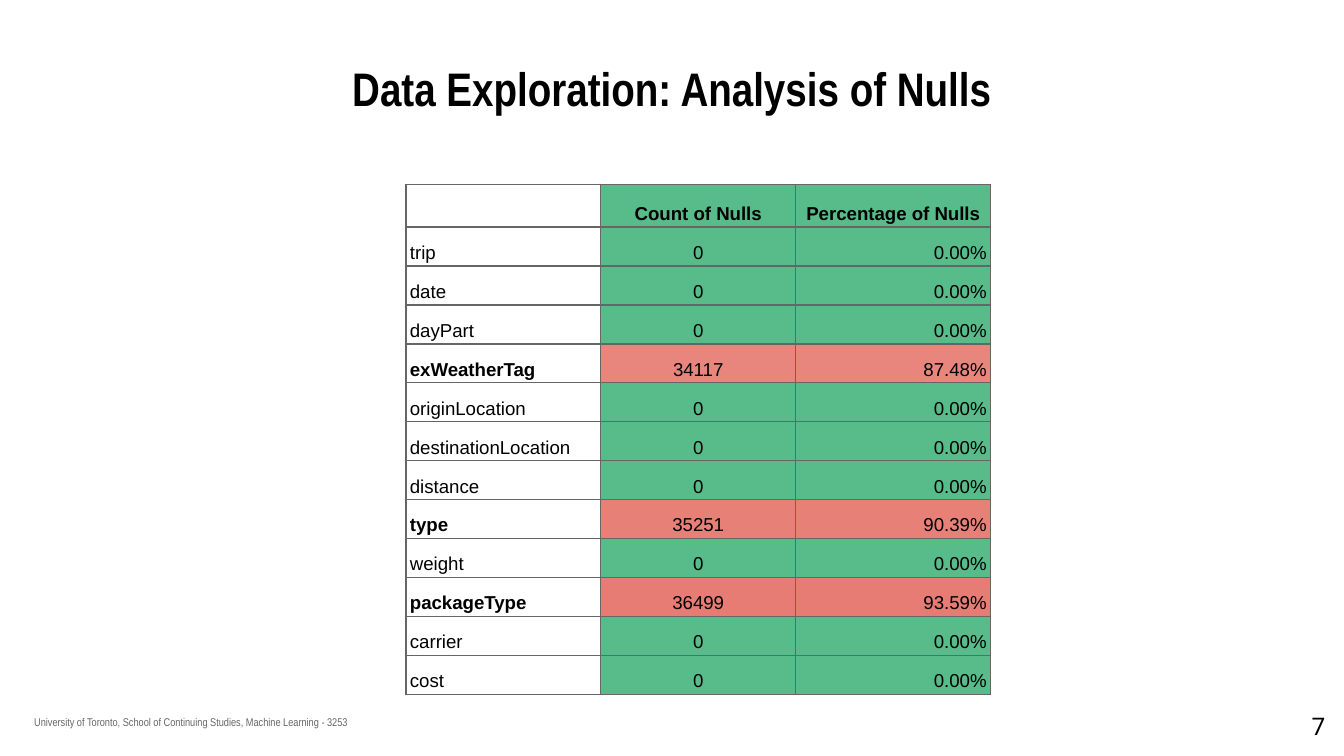
from lxml import etree
from pptx import Presentation
from pptx.dml.color import RGBColor
from pptx.enum import text
from pptx.oxml import ns
from pptx.util import Inches, Pt

COLORS = {"ink": "000000", "muted": "666666", "green": "57BB8A",
          "coral": "E8857D", "rose": "E78178", "red": "E67C73"}
TITLE = "Data Exploration: Analysis of Nulls"
COURSE = "University of Toronto, School of Continuing Studies, Machine Learning - 3253"
PAGE = "7"
HEADINGS = ("", "Count of Nulls", "Percentage of Nulls")
FIELDS = ["trip", "date", "dayPart", "exWeatherTag", "originLocation",
          "destinationLocation", "distance", "type", "weight",
          "packageType", "carrier", "cost"]
NULLS = {"exWeatherTag": ("34117", "87.48%", "coral"),
         "type": ("35251", "90.39%", "rose"),
         "packageType": ("36499", "93.59%", "red")}
NO_NULLS = ("0", "0.00%", "green")

LEFT, CENTER, RIGHT = text.PP_ALIGN.LEFT, text.PP_ALIGN.CENTER, text.PP_ALIGN.RIGHT
TOP, MIDDLE, BOTTOM = text.MSO_ANCHOR.TOP, text.MSO_ANCHOR.MIDDLE, text.MSO_ANCHOR.BOTTOM
COLUMN_ALIGNMENTS = (LEFT, CENTER, RIGHT)
COLUMN_WIDTH, HEADER_HEIGHT, ROW_HEIGHT = 1.45, 0.32, 0.29
TABLE_LEFT, TABLE_TOP = 3.02, 1.37
CELL_FORMAT = {"margin_left": Inches(0.03), "margin_right": Inches(0.03),
               "margin_top": Inches(0.02), "margin_bottom": Inches(0.02),
               "vertical_anchor": BOTTOM}


def apply(target, values):
    for name, value in values.items():
        setattr(target, name, value)


def write(frame, words, font, size, alignment, color="ink", bold=False, spacing=1.0):
    paragraph = frame.paragraphs[0]
    apply(paragraph, {"alignment": alignment, "line_spacing": spacing})
    run = paragraph.add_run()
    run.text = words
    apply(run.font, {"name": font, "size": Pt(size), "bold": bold})
    run.font.color.rgb = RGBColor.from_string(COLORS[color])


def place(box, bounds, anchor=TOP):
    apply(box, dict(zip(("left", "top", "width", "height"), map(Inches, bounds))))
    margins = {f"margin_{side}": Inches(0.1) for side in ("left", "right", "top", "bottom")}
    apply(box.text_frame, {**margins, "word_wrap": True, "vertical_anchor": anchor,
                           "auto_size": text.MSO_AUTO_SIZE.NONE})
    return box.text_frame


def outline(cell):
    properties = cell._tc.get_or_add_tcPr()
    for index, side in enumerate(("lnL", "lnR", "lnT", "lnB")):
        border = etree.Element(ns.qn(f"a:{side}"), w=str(Pt(0.75)))
        fill = etree.SubElement(border, ns.qn("a:solidFill"))
        etree.SubElement(fill, ns.qn("a:srgbClr"), val=COLORS["muted"])
        properties.insert(index, border)


def fill_cell(cell, words, alignment, color, bold):
    apply(cell, CELL_FORMAT)
    if color:
        cell.fill.solid()
        cell.fill.fore_color.rgb = RGBColor.from_string(COLORS[color])
    else:
        cell.fill.background()
    if words:
        write(cell.text_frame, words, "Arial", 10, alignment, bold=bold, spacing=1.15)
    else:
        etree.SubElement(cell.text_frame.paragraphs[0]._p, ns.qn("a:endParaRPr"), sz="1000")
    outline(cell)


def add_nulls_table(slide):
    height = HEADER_HEIGHT + ROW_HEIGHT * len(FIELDS)
    table = slide.shapes.add_table(
        len(FIELDS) + 1, len(HEADINGS), Inches(TABLE_LEFT), Inches(TABLE_TOP),
        Inches(COLUMN_WIDTH * len(HEADINGS)), Inches(height)).table
    apply(table, {"first_row": False, "horz_banding": False})
    for column in table.columns:
        column.width = Inches(COLUMN_WIDTH)
    for index, row in enumerate(table.rows):
        row.height = Inches(ROW_HEIGHT if index else HEADER_HEIGHT)

    for column, heading in enumerate(HEADINGS):
        fill_cell(table.cell(0, column), heading, CENTER, "green" if column else None, True)
    for row, field in enumerate(FIELDS, 1):
        count, share, color = NULLS.get(field, NO_NULLS)
        for column, words in enumerate((field, count, share)):
            fill_cell(table.cell(row, column), words, COLUMN_ALIGNMENTS[column],
                      color if column else None, column == 0 and field in NULLS)


def main():
    deck = Presentation()
    apply(deck, {"slide_width": Inches(10), "slide_height": Inches(10) * 9 // 16})
    slide = deck.slides.add_slide(deck.slide_layouts[5])

    course = place(slide.shapes.add_textbox(0, 0, 0, 0), (0, 5.26, 2.84, 0.36))
    write(course, COURSE, "Arial Narrow", 6, CENTER, "muted", spacing=0.6)
    title = place(slide.shapes.title, (0.5, 0.45, 9, 0.41), MIDDLE)
    write(title, TITLE, "Arial Narrow", 25.2, CENTER, bold=True)
    add_nulls_table(slide)
    page = place(slide.shapes.add_textbox(0, 0, 0, 0), (9.36, 5.19, 0.6, 0.43))
    write(page, PAGE, "Roboto", 13, RIGHT)

    deck.save("out.pptx")


if __name__ == "__main__":
    main()
